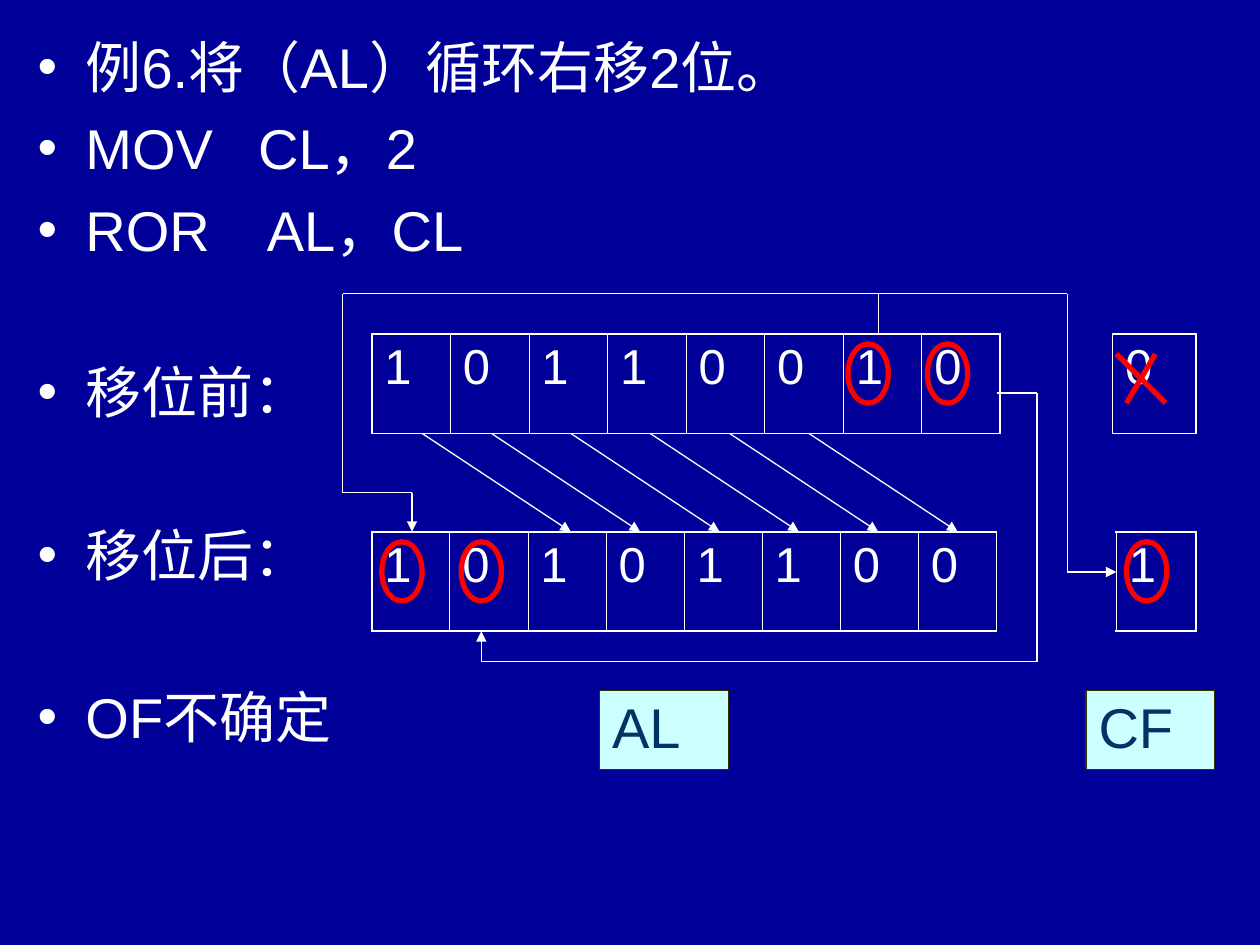
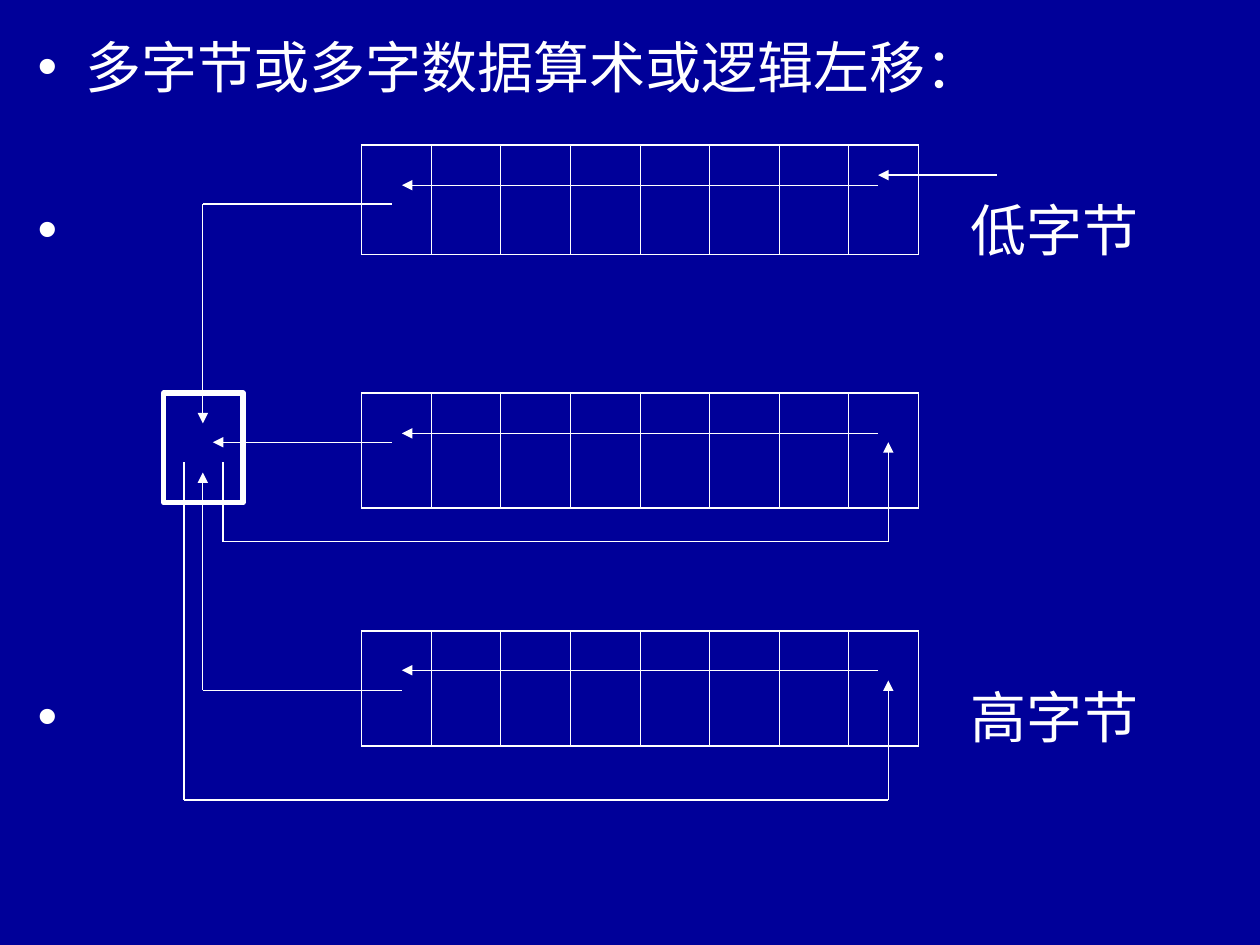
from dataclasses import dataclass
from itertools import pairwise

from lxml import etree
from pptx import Presentation
from pptx.dml.color import RGBColor
from pptx.enum.shapes import MSO_CONNECTOR, MSO_SHAPE
from pptx.enum.text import MSO_ANCHOR, PP_ALIGN
from pptx.oxml.ns import qn
from pptx.util import Inches, Pt


@dataclass(frozen=True)
class Theme:
    font: str = "Arial"
    background: str = "000099"
    white: str = "FFFFFF"
    mark: str = "FF0000"
    label_fill: str = "CCFFFF"
    label_line: str = "333300"
    label_text: str = "003366"
    body_size: float = 32
    bit_size: float = 28
    thin: float = 0.75
    thick: float = 3
    outer_border: float = 1.08
    inner_border: float = 0.45
    space_before: float = 8
    line_pitch: float = 46.45

    def space_after_skipping(self, line_count):
        """Space before a paragraph that leaves some lines free above it."""
        return Pt(self.space_before + line_count * self.line_pitch)


class SlideBuilder:
    def __init__(self, presentation, theme):
        self.presentation = presentation
        self.theme = theme
        self.slide = None

    def new_slide(self):
        self.slide = self.presentation.slides.add_slide(
            self.presentation.slide_layouts[6])
        fill = self.slide.background.fill
        fill.solid()
        fill.fore_color.rgb = RGBColor.from_string(self.theme.background)

    def add_text(self, paragraph, text, size, color, **paragraph_format):
        run = paragraph.add_run()
        run.text = text
        run.font.color.rgb = RGBColor.from_string(color)
        for name, value in {"name": self.theme.font, "size": Pt(size)}.items():
            setattr(run.font, name, value)
        for name, value in paragraph_format.items():
            setattr(paragraph, name, value)

    def bullets(self, lines):
        """Each line is its text, the free lines above it and its tab stop."""
        box = self.slide.shapes.add_textbox(
            Inches(0.2), Inches(0.21), Inches(9.61), Inches(7.09))
        frame = box.text_frame
        frame.word_wrap = True
        for index, (text, free_lines, tab_stop) in enumerate(lines):
            paragraph = frame.add_paragraph() if index else frame.paragraphs[0]
            self.add_text(paragraph, text, self.theme.body_size, self.theme.white,
                          space_before=self.theme.space_after_skipping(free_lines))
            properties = paragraph._p.get_or_add_pPr()
            properties.set("marL", str(Inches(0.38)))
            properties.set("indent", str(-Inches(0.38)))
            color = etree.SubElement(properties, qn("a:buClr"))
            etree.SubElement(color, qn("a:srgbClr"), val=self.theme.white)
            etree.SubElement(properties, qn("a:buFont"), typeface=self.theme.font)
            etree.SubElement(properties, qn("a:buChar"), char="•")
            if tab_stop:
                tabs = etree.SubElement(properties, qn("a:tabLst"))
                etree.SubElement(tabs, qn("a:tab"),
                                 pos=str(Inches(tab_stop)), algn="l")

    def register(self, left, top, width, height, bits):
        """One-row table with a cell for each bit; a space is an empty bit."""
        count = len(bits)
        table = self.slide.shapes.add_table(
            1, count, Inches(left), Inches(top),
            Inches(width), Inches(height)).table
        table.first_row = table.horz_banding = False
        for index, bit in enumerate(bits):
            table.columns[index].width = Inches(width / count)
            cell = table.cell(0, index)
            cell.fill.background()
            if bit.strip():
                self.add_text(cell.text_frame.paragraphs[0], bit,
                              self.theme.bit_size, self.theme.white,
                              space_before=Pt(7))
            self.cell_borders(cell, index == 0, index == count - 1)

    def cell_borders(self, cell, is_first, is_last):
        outer_sides = {"lnL": is_first, "lnR": is_last, "lnT": True, "lnB": True}
        properties = cell._tc.get_or_add_tcPr()
        for position, (side, is_outer) in enumerate(outer_sides.items()):
            width = self.theme.outer_border if is_outer else self.theme.inner_border
            border = etree.Element(qn(f"a:{side}"), w=str(Pt(width)))
            fill = etree.SubElement(border, qn("a:solidFill"))
            etree.SubElement(fill, qn("a:srgbClr"), val=self.theme.white)
            properties.insert(position, border)

    def shape(self, kind, left, top, width, height, line, line_width, fill=None):
        shape = self.slide.shapes.add_shape(
            kind, Inches(left), Inches(top), Inches(width), Inches(height))
        shape.shadow.inherit = False
        shape.line.color.rgb = RGBColor.from_string(line)
        shape.line.width = Pt(line_width)
        if fill:
            shape.fill.solid()
            shape.fill.fore_color.rgb = RGBColor.from_string(fill)
        else:
            shape.fill.background()
        return shape

    def label(self, left, top, text):
        theme = self.theme
        shape = self.shape(MSO_SHAPE.RECTANGLE, left, top, 1.02, 0.63,
                           theme.label_line, theme.thin, theme.label_fill)
        shape.text_frame.vertical_anchor = MSO_ANCHOR.MIDDLE
        self.add_text(shape.text_frame.paragraphs[0], text, theme.body_size,
                      theme.label_text, alignment=PP_ALIGN.LEFT, line_spacing=0.9)

    def ring(self, left, top):
        self.shape(MSO_SHAPE.OVAL, left, top, 0.32, 0.47,
                   self.theme.mark, self.theme.thick)

    def line(self, start, end, color=None, width=None, arrow=False):
        connector = self.slide.shapes.add_connector(
            MSO_CONNECTOR.STRAIGHT, *map(Inches, start + end))
        connector.line.color.rgb = RGBColor.from_string(color or self.theme.white)
        connector.line.width = Pt(width or self.theme.thin)
        if arrow:
            etree.SubElement(connector.line._get_or_add_ln(),
                             qn("a:tailEnd"), type="triangle")
        etree.SubElement(connector._element.spPr, qn("a:effectLst"))

    def route(self, *points, arrow=True):
        """Straight lines through the points, with an arrowhead at the last."""
        for start, end in pairwise(points):
            self.line(start, end, arrow=arrow and end == points[-1])


def build_rotate_right(builder):
    builder.new_slide()
    theme = builder.theme
    builder.bullets([
        ("例6.将（AL）循环右移2位。", 0, None),
        ("MOV\tCL，2", 0, 1.75),
        ("ROR\tAL，CL", 0, 1.82),
        ("移位前：", 1, None),
        ("移位后：", 1, None),
        ("OF不确定", 1, None),
    ])

    # AL and CF before and after the rotation
    before_top, after_top, height = 2.65, 4.22, 0.79
    builder.register(2.95, before_top, 4.99, height, "10110010")
    builder.register(8.83, before_top, 0.66, height, "0")
    builder.register(2.95, after_top, 4.96, height, "10101100")
    builder.register(8.86, after_top, 0.63, height, "1")
    builder.label(4.76, 5.48, "AL")
    builder.label(8.62, 5.48, "CF")

    # The old carry is crossed out
    for start_x, end_x in ((8.86, 9.25), (9.17, 8.94)):
        builder.line((start_x, 2.81), (end_x, 3.2), theme.mark, theme.thick)

    # Six bits move two places to the right
    for start_x in [3.35] + [3.9 + 0.63 * step for step in range(5)]:
        builder.route((start_x, before_top + height), (start_x + 1.18, after_top))

    # Bit 1 goes to the top bit and to CF, bit 0 to the second bit
    builder.route((6.97, before_top), (6.97, 2.33), (2.72, 2.33),
                  (2.72, 3.91), (3.27, 3.91), (3.27, after_top))
    builder.route((6.97, 2.33), (8.47, 2.33), (8.47, 4.54), (8.86, 4.54))
    builder.route((7.91, 3.12), (8.23, 3.12), (8.23, 5.25),
                  (3.82, 5.25), (3.82, after_top + height))

    # Rings around the rotated bits
    for top, lefts in ((2.73, (6.73, 7.36)), (4.3, (3.03, 3.66, 8.94))):
        for left in lefts:
            builder.ring(left, top)


def build_multibyte_shift(builder):
    builder.new_slide()
    theme = builder.theme
    builder.bullets([
        ("多字节或多字数据算术或逻辑左移：", 0, None),
        ("\t低字节", 1, 7.4),
        ("\t高字节", 5, 7.4),
    ])

    # Three bytes, each with its shift to the left
    for top, height, arrow_y in ((1.15, 0.87, 1.47), (3.12, 0.91, 3.44),
                                 (5.01, 0.91, 5.32)):
        builder.register(2.87, top, 4.42, height, " " * 8)
        builder.route((6.97, arrow_y), (3.19, arrow_y))

    # Carry flag
    builder.shape(MSO_SHAPE.RECTANGLE, 1.3, 3.12, 0.63, 0.87,
                  theme.white, theme.thick)

    # Bits that enter the bytes
    builder.route((7.91, 1.39), (6.97, 1.39))
    builder.route((1.77, 3.67), (1.77, 4.3), (7.05, 4.3), (7.05, 3.51))
    builder.route((1.46, 3.67), (1.46, 6.35), (7.05, 6.35), (7.05, 5.4))

    # Bits that leave for the carry flag
    builder.route((3.11, 1.62), (1.61, 1.62), (1.61, 3.36))
    builder.route((3.11, 3.51), (1.69, 3.51))
    builder.route((3.19, 5.48), (1.61, 5.48), (1.61, 3.75))


def main():
    presentation = Presentation()
    presentation.slide_width = Inches(10)
    presentation.slide_height = Inches(7.5)
    builder = SlideBuilder(presentation, Theme())
    build_rotate_right(builder)
    build_multibyte_shift(builder)
    presentation.save("out.pptx")


if __name__ == "__main__":
    main()
